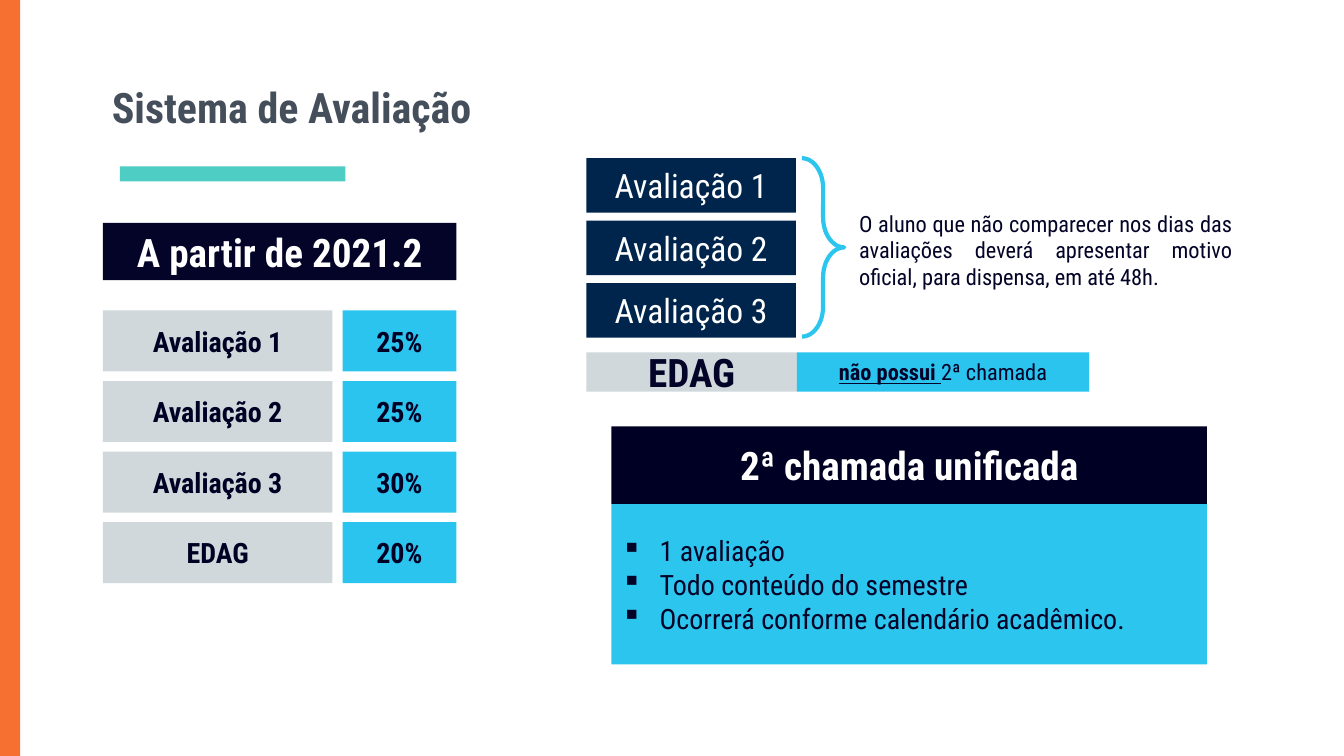
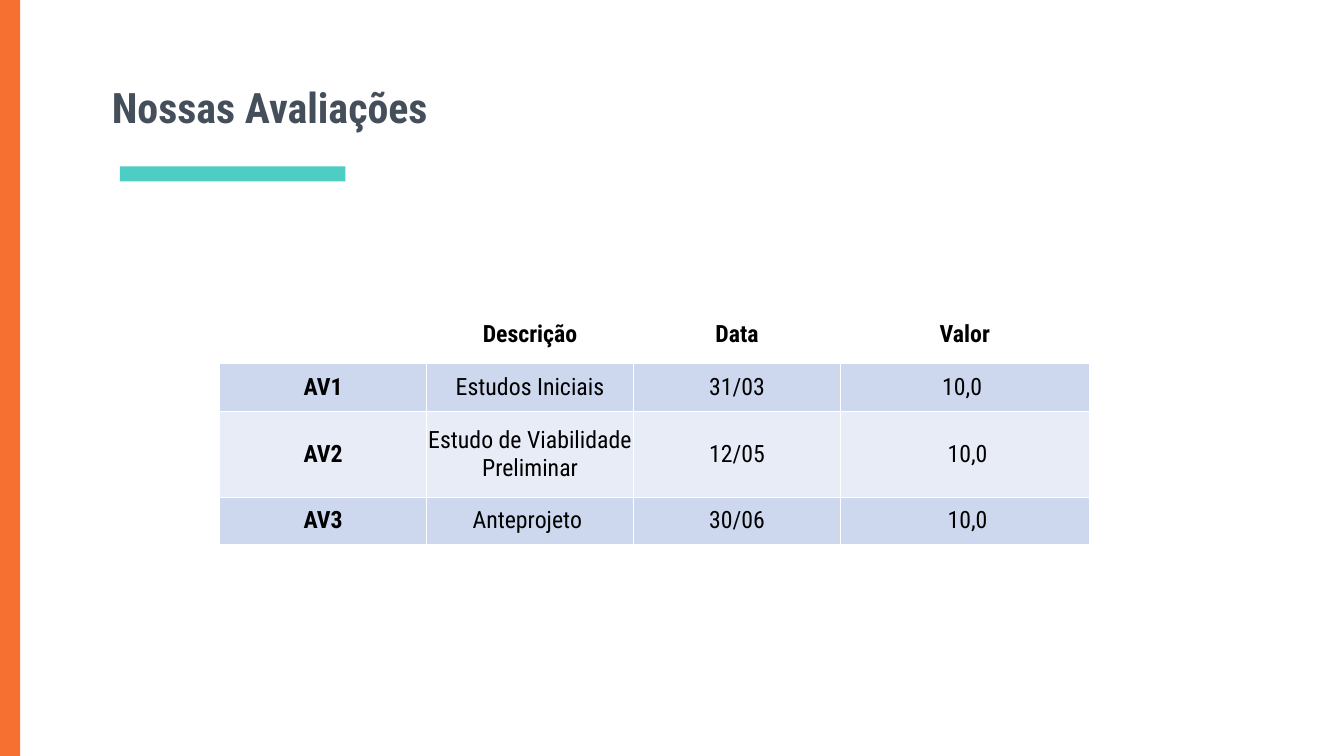
from lxml.etree import SubElement
from pptx import Presentation
from pptx.dml.color import RGBColor
from pptx.enum.shapes import MSO_SHAPE as Preset
from pptx.enum.text import MSO_ANCHOR as Anchor, MSO_AUTO_SIZE as AutoSize, PP_ALIGN as Align
from pptx.oxml.ns import qn
from pptx.util import Inches, Pt

FONT = "Roboto Condensed"
WHITE = RGBColor(0xFF, 0xFF, 0xFF)
BLACK = RGBColor(0x00, 0x00, 0x00)
ORANGE = RGBColor(0xF6, 0x70, 0x31)
TEAL = RGBColor(0x4E, 0xCD, 0xC4)
SLATE = RGBColor(0x45, 0x4F, 0x5B)
NIGHT = RGBColor(0x00, 0x00, 0x24)
INK = RGBColor(0x04, 0x04, 0x28)
NAVY = RGBColor(0x00, 0x25, 0x4C)
GREY = RGBColor(0xD0, 0xD8, 0xDB)
SKY = RGBColor(0x2B, 0xC4, 0xEF)
CYAN = RGBColor(0x2C, 0xC5, 0xED)
BAND_DARK = RGBColor(0xCD, 0xD8, 0xEF)
BAND_LIGHT = RGBColor(0xE8, 0xEC, 0xF7)

deck = Presentation()
deck.slide_width, deck.slide_height = Inches(13.34), Inches(7.5)


def share(left, top, width, height):
    """Turn percentages of the slide's size into lengths."""
    across, down = deck.slide_width / 100, deck.slide_height / 100
    return int(left * across), int(top * down), int(width * across), int(height * down)


def write(frame, *lines, size=20, color=INK, bold=False, align=Align.CENTER,
          anchor=Anchor.MIDDLE, lead=""):
    """Fill a text frame; lead is bold underlined text before the first line."""
    frame.word_wrap = True
    frame.vertical_anchor = anchor
    for number, line in enumerate(lines):
        paragraph = frame.add_paragraph() if number else frame.paragraphs[0]
        paragraph.alignment = align
        opening = lead if number == 0 else ""
        for text, strong, underline in ((opening, True, True), (line, bold, False)):
            if text:
                run = paragraph.add_run()
                run.text = text
                run.font.name, run.font.size = FONT, Pt(size)
                run.font.bold, run.font.underline = strong, underline
                run.font.color.rgb = color


# Title-only layout with the side band and the title rule, then both slides
layout = deck.slide_layouts[5]
grading, schedule = slides = [deck.slides.add_slide(layout) for _ in range(2)]
for area, color in (((0, 0, 1.5, 100), ORANGE), ((8.92, 22, 16.79, 2), TEAL)):
    band = grading.shapes.add_shape(Preset.RECTANGLE, *share(*area))
    band.shadow.inherit = False
    band.fill.solid()
    band.fill.fore_color.rgb = color
    band.line.fill.background()
    layout.shapes.element.append(band.element)

for slide, heading in zip(slides, ("Sistema de Avaliação", "Nossas Avaliações")):
    title = slide.shapes.title
    title.left, title.top, title.width, title.height = share(7.57, 9.2, 84.86, 9.6)
    frame = title.text_frame
    frame.auto_size = AutoSize.NONE
    frame.margin_left = frame.margin_right = frame.margin_top = frame.margin_bottom = Inches(0.1)
    write(frame, heading, size=30, color=SLATE, bold=True, align=Align.LEFT, anchor=Anchor.BOTTOM)

# Grading: boxes as area, fill, lines and text format
boxes = [((7.65, 29.47, 26.31, 7.6), INK, ["A partir de 2021.2"],
          dict(size=28, color=WHITE, bold=True))]

weights = [("Avaliação 1", "25%"), ("Avaliação 2", "25%"), ("Avaliação 3", "30%"), ("EDAG", "20%")]
for row, (exam, weight) in enumerate(weights):
    top = 41.07 + 9.33 * row
    bold_night = dict(color=NIGHT, bold=True)
    boxes.append(((7.65, top, 17.09, 8.07), GREY, [exam], bold_night))
    boxes.append(((25.49, top, 8.47, 8.07), SKY, [weight], bold_night))

for row, (exam, _) in enumerate(weights[:3]):
    boxes.append(((43.63, 20.93 + 8.27 * row, 15.59, 7.2), NAVY, [exam],
                  dict(size=24, color=WHITE)))

bullets = ["1 avaliação", "Todo conteúdo do semestre", "Ocorrerá conforme calendário acadêmico."]
boxes += [
    ((43.63, 46.6, 15.67, 5.2), GREY, ["EDAG"], dict(size=28, bold=True)),
    ((59.3, 46.6, 21.74, 5.2), SKY, ["2ª chamada"], dict(size=16, lead="não possui ")),
    ((45.5, 56.4, 44.3, 10.27), NIGHT, ["2ª chamada unificada"],
     dict(size=28, color=WHITE, bold=True)),
    ((45.5, 66.67, 44.3, 21.2), CYAN, bullets, dict(align=Align.LEFT)),
]
for area, fill, lines, style in boxes:
    box = grading.shapes.add_shape(Preset.RECTANGLE, *share(*area))
    box.shadow.inherit = False
    box.fill.solid()
    box.fill.fore_color.rgb = fill
    box.line.fill.background()
    write(box.text_frame, *lines, **style)

# Square bullets in the last box, the rules of the second call
for properties in box.element.iter(qn("a:pPr")):
    properties.set("marL", str(Inches(0.38)))
    properties.set("indent", str(-Inches(0.38)))
    SubElement(properties, qn("a:buChar"), char="▪")

# Brace and the absence note beside the three exams
brace = grading.shapes.add_shape(Preset.RIGHT_BRACE, *share(59.67, 20.93, 3.15, 23.6))
brace.shadow.inherit = False
brace.adjustments[0] = 0.71
brace.fill.background()
brace.line.color.rgb = CYAN
brace.line.width = Pt(3)

absence = grading.shapes.add_textbox(*share(63.19, 26.13, 29.24, 13.87))
write(absence.text_frame,
      "O aluno que não comparecer nos dias das avaliações deverá apresentar motivo oficial, "
      "para dispensa, em até 48h.", size=16, align=Align.JUSTIFY)

# Schedule table
entries = [
    ("", "Descrição", "Data", "Valor"),
    ("AV1", "Estudos Iniciais", "31/03", "10,0 "),
    ("AV2", "Estudo de Viabilidade Preliminar", "12/05", " 10,0"),
    ("AV3", "Anteprojeto ", "30/06", " 10,0"),
]
column_shares = (15.4, 15.4, 15.4, 18.5)
row_shares = (7.47, 6.4, 11.33, 6.27)
holder = schedule.shapes.add_table(
    len(entries), len(column_shares),
    *share(16.34, 40.53, sum(column_shares), sum(row_shares)))
table = holder.table
table.first_row = table.horz_banding = False
for column, width in zip(table.columns, column_shares):
    column.width = share(0, 0, width, 0)[2]
for row, height in zip(table.rows, row_shares):
    row.height = share(0, 0, 0, height)[3]

for r, entry in enumerate(entries):
    for c, text in enumerate(entry):
        cell = table.cell(r, c)
        cell.margin_left = cell.margin_right = Inches(0.01)
        cell.vertical_anchor = Anchor.MIDDLE
        write(cell.text_frame, text, size=17, color=BLACK, bold=r == 0 or c == 0)
        cell.fill.solid()
        cell.fill.fore_color.rgb = WHITE if r == 0 else (BAND_LIGHT, BAND_DARK)[r % 2]

# White cell borders, thicker below the header row
for index, properties in enumerate(holder.element.iter(qn("a:tcPr"))):
    r = index // len(column_shares)
    for place, side in enumerate(("lnL", "lnR", "lnT", "lnB")):
        thick = (r, side) in ((0, "lnB"), (1, "lnT"))
        border = SubElement(properties, qn(f"a:{side}"), w=str(Pt(1.47 if thick else 0.45)))
        paint = SubElement(border, qn("a:solidFill"))
        SubElement(paint, qn("a:srgbClr"), val=str(WHITE))
        properties.insert(place, border)

deck.save("out.pptx")
